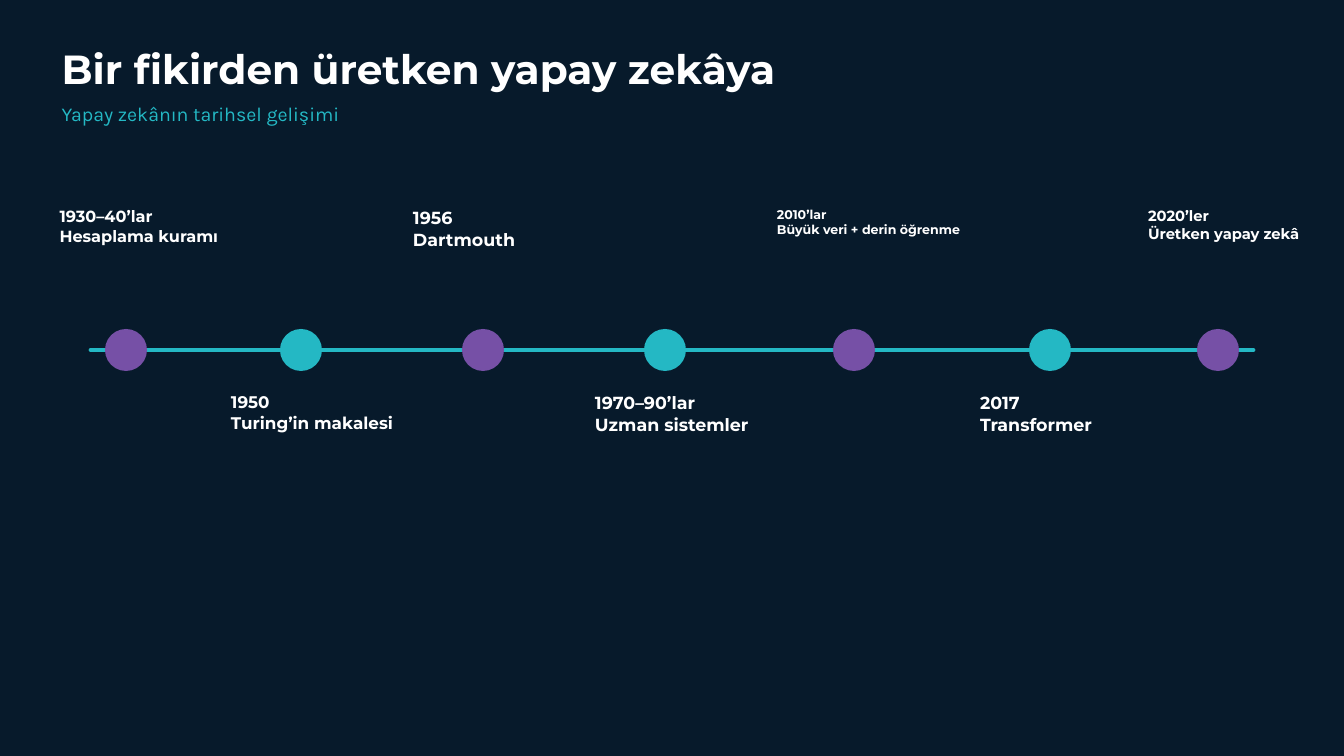
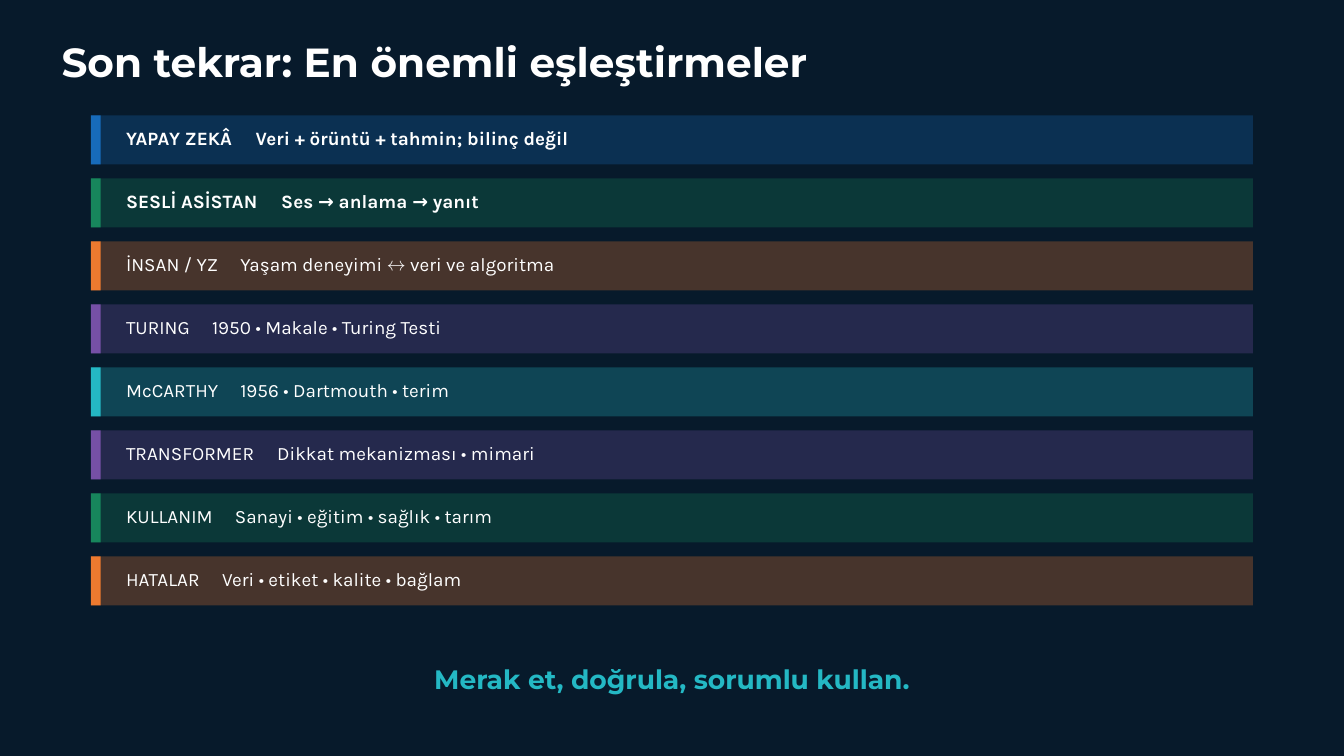
import pptx
import pptx.dml.color
import pptx.enum.shapes
import pptx.enum.text
import pptx.oxml.ns
import pptx.util
from lxml import etree
from dataclasses import dataclass

COLS, ROWS = 192, 108
WIDTH, HEIGHT = pptx.util.Inches(20), pptx.util.Inches(11.25)


@dataclass(frozen=True)
class Theme:
    background: str = "071A2B"
    white: str = "FFFFFF"
    teal: str = "24B8C4"
    purple: str = "7650A6"
    blue: str = "176BBA"
    green: str = "17865C"
    orange: str = "ED7A2F"
    heading: str = "Montserrat"
    body: str = "Karla"
    title_size: float = 43.5
    subtitle_size: float = 21
    row_size: float = 20.25
    closing_size: float = 28.5
    axis_width: float = 5.25
    band_opacity: int = 28


THEME = Theme()
TITLE_LEFT = 8.8
LEFT, RIGHT = 13, 179
AXIS_ROW, DOT = 50, 6
LABEL_ABOVE, LABEL_BELOW = 29.4, 55.9
BAND_TOP, BAND_PITCH, BAND_HEIGHT, EDGE = 16.5, 9, 7, 1.4

MILESTONES = [
    (18, 8.5, 23, 17.25, "1930–40’lar", "Hesaplama kuramı"),
    (43, 33, 24, 18, "1950", "Turing’in makalesi"),
    (69, 59, 22, 18.75, "1956", "Dartmouth"),
    (95, 85, 24, 18.75, "1970–90’lar", "Uzman sistemler"),
    (122, 111, 27, 13.5, "2010’lar", "Büyük veri + derin öğrenme"),
    (150, 140, 22, 18.75, "2017", "Transformer"),
    (174, 164, 22, 15.75, "2020’ler", "Üretken yapay zekâ"),
]

PAIRS = [
    ("YAPAY ZEKÂ", "Veri + örüntü + tahmin; bilinç değil", THEME.blue, 1.93, True),
    ("SESLİ ASİSTAN", "Ses → anlama → yanıt", THEME.green, 2.31, True),
    ("İNSAN / YZ", "Yaşam deneyimi ↔ veri ve algoritma", THEME.orange, 1.7, False),
    ("TURING", "1950 • Makale • Turing Testi", THEME.purple, 1.28, False),
    ("McCARTHY", "1956 • Dartmouth • terim", THEME.teal, 1.7, False),
    ("TRANSFORMER", "Dikkat mekanizması • mimari", THEME.purple, 2.25, False),
    ("KULLANIM", "Sanayi • eğitim • sağlık • tarım", THEME.green, 1.62, False),
    ("HATALAR", "Veri • etiket • kalite • bağlam", THEME.orange, 1.43, False),
]


def x(cols):
    return round(WIDTH * cols / COLS)


def y(rows):
    return round(HEIGHT * rows / ROWS)


def rgb(color):
    return pptx.dml.color.RGBColor.from_string(color)


def child(parent, tag, **attrs):
    return etree.SubElement(parent, pptx.oxml.ns.qn(tag), **attrs)


def add_slide(prs):
    s = prs.slides.add_slide(prs.slide_layouts[6])
    s.background.fill.solid()
    s.background.fill.fore_color.rgb = rgb(THEME.background)
    return s


def add_text(s, left, top, width, lines, size, leading, font=THEME.heading,
             color=THEME.white, bold=True, align=None, tab=None):
    height = pptx.util.Pt(size * leading * len(lines))
    sp = s.shapes.add_textbox(x(left), y(top), x(width), height)
    tf = sp.text_frame
    tf.margin_left = tf.margin_right = tf.margin_top = tf.margin_bottom = 0
    tf.word_wrap = True
    tf.auto_size = pptx.enum.text.MSO_AUTO_SIZE.SHAPE_TO_FIT_TEXT
    for i, line in enumerate(lines):
        p = tf.add_paragraph() if i else tf.paragraphs[0]
        if tab:
            stops = child(p._p.get_or_add_pPr(), "a:tabLst")
            child(stops, "a:tab", pos=str(pptx.util.Inches(tab)), algn="l")
        p.alignment = align
        p.line_spacing = pptx.util.Pt(size * leading)
        r = p.add_run()
        r.text = line
        r.font.name = font
        r.font.size = pptx.util.Pt(size)
        r.font.bold = bold
        r.font.color.rgb = rgb(color)


def add_title(s, top, text):
    add_text(s, TITLE_LEFT, top, 155, [text], THEME.title_size, 1.05)


def add_block(s, kind, left, top, width, height, color, opacity=None):
    sp = s.shapes.add_shape(kind, x(left), y(top), x(width), y(height))
    sp.shadow.inherit = False
    sp.line.fill.background()
    sp.fill.solid()
    sp.fill.fore_color.rgb = rgb(color)
    if opacity:
        tint = sp._element.spPr.find(".//" + pptx.oxml.ns.qn("a:srgbClr"))
        child(tint, "a:alpha", val=str(opacity * 1000))


def add_axis(s):
    line = s.shapes.add_connector(pptx.enum.shapes.MSO_CONNECTOR.STRAIGHT,
                                  x(LEFT), y(AXIS_ROW), x(RIGHT), y(AXIS_ROW))
    line.line.color.rgb = rgb(THEME.teal)
    line.line.width = pptx.util.Pt(THEME.axis_width)
    line.line._get_or_add_ln().set("cap", "rnd")
    child(line._element.spPr, "a:effectLst")


def add_band(s, top, key, value, color, tab, bold):
    rect = pptx.enum.shapes.MSO_SHAPE.RECTANGLE
    add_block(s, rect, LEFT, top, RIGHT - LEFT, BAND_HEIGHT, color, THEME.band_opacity)
    add_block(s, rect, LEFT, top, EDGE, BAND_HEIGHT, color)
    add_text(s, 18, top + 1.1, 156, [f"{key}\t{value}"], THEME.row_size, 1.4,
             font=THEME.body, bold=bold, tab=tab)


def build_timeline(prs):
    s = add_slide(prs)
    add_title(s, 7.2, "Bir fikirden üretken yapay zekâya")
    add_text(s, TITLE_LEFT, 14, 90, ["Yapay zekânın tarihsel gelişimi"],
             THEME.subtitle_size, 1.4, font=THEME.body, color=THEME.teal, bold=False)
    add_axis(s)
    for i, (center, left, width, size, period, event) in enumerate(MILESTONES):
        below = i % 2
        add_block(s, pptx.enum.shapes.MSO_SHAPE.OVAL, center - DOT / 2, AXIS_ROW - DOT / 2,
                  DOT, DOT, THEME.teal if below else THEME.purple)
        add_text(s, left, LABEL_BELOW if below else LABEL_ABOVE, width,
                 [period, event], size, 1.25)


def build_review(prs):
    s = add_slide(prs)
    add_title(s, 6.2, "Son tekrar: En önemli eşleştirmeler")
    for i, pair in enumerate(PAIRS):
        add_band(s, BAND_TOP + i * BAND_PITCH, *pair)
    add_text(s, 32, 94, 128, ["Merak et, doğrula, sorumlu kullan."], THEME.closing_size,
             1.4, color=THEME.teal, align=pptx.enum.text.PP_ALIGN.CENTER)


def main():
    prs = pptx.Presentation()
    prs.slide_width, prs.slide_height = WIDTH, HEIGHT
    build_timeline(prs)
    build_review(prs)
    prs.save("out.pptx")


if __name__ == "__main__":
    main()
